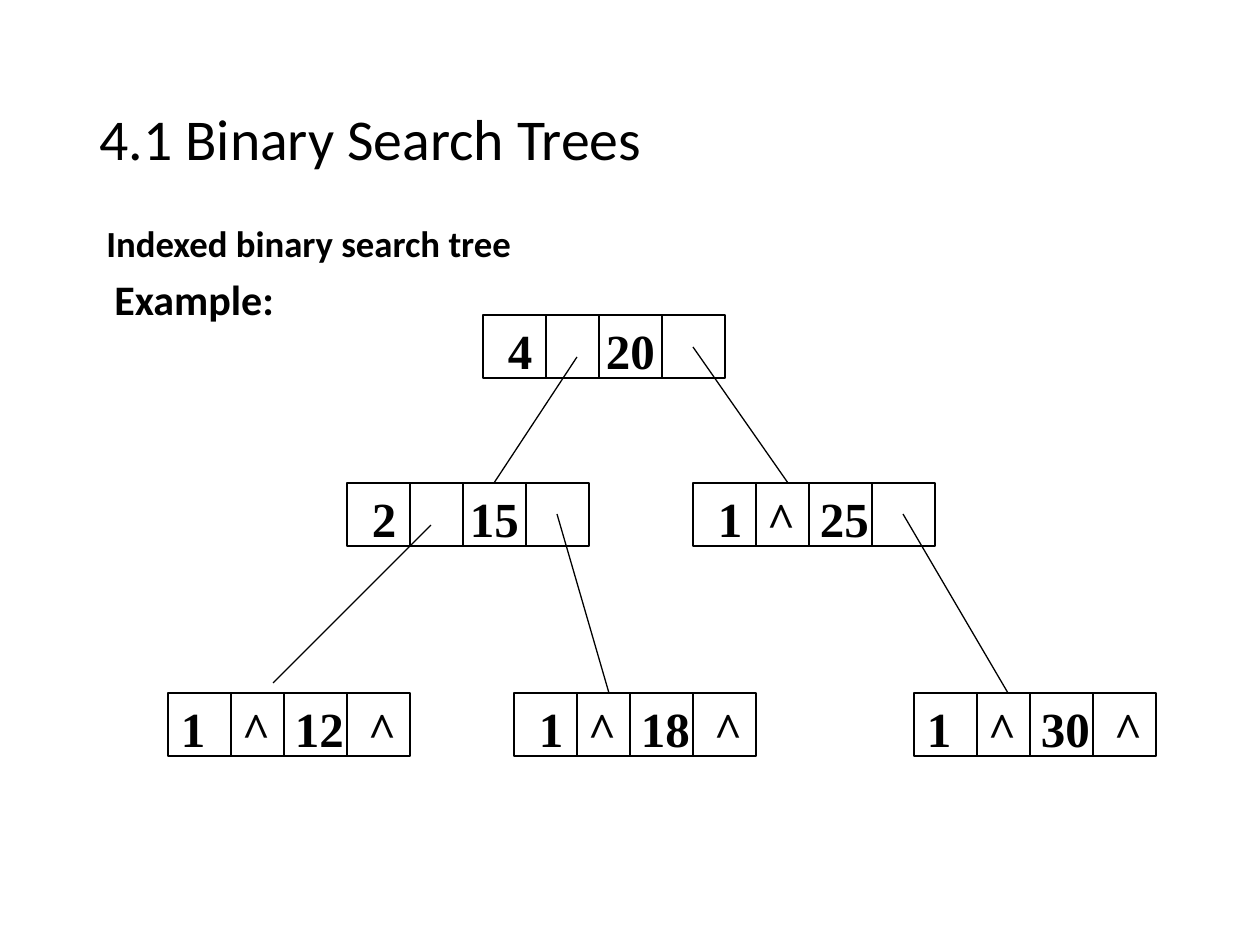
from lxml.etree import SubElement
from pptx import Presentation
from pptx.dml.color import RGBColor
from pptx.enum.shapes import MSO_CONNECTOR, MSO_SHAPE
from pptx.enum.text import MSO_ANCHOR, PP_ALIGN
from pptx.oxml.ns import qn
from pptx.util import Pt

BLACK = RGBColor(0, 0, 0)
PX_PER_INCH = 126

TITLE = "4.1 Binary Search Trees"
# text, size in points, indent in px, space before in points
BODY = [
    ("Indexed binary search tree", 21, 0, 0),
    ("Example:", 24, 8, 7.5),
]

# left, top, text offset in px, then the values: index, left, key, right
NODES = [
    (483, 315, 25, ("4", "", "20", "")),
    (347, 483, 25, ("2", "", "15", "")),
    (693, 483, 25, ("1", "^", "25", "")),
    (514, 693, 25, ("1", "^", "18", "^")),
    (168, 693, 13, ("1", "^", "12", "^")),
    (914, 693, 13, ("1", "^", "30", "^")),
]
NODE_WIDTH, NODE_HEIGHT = 242, 63
SEPARATORS = (63, 116, 179)
LEFT_STOP, KEY_STOP, RIGHT_STOP = 74, 127, 200
KEY_STOP_WITH_LEFT_CHILD = 123

BRANCHES = [
    ((577, 357), (494, 483)),
    ((693, 347), (788, 483)),
    ((431, 525), (273, 683)),
    ((557, 514), (609, 693)),
    ((903, 514), (1008, 693)),
]


def px(length):
    return round(length * 914400 / PX_PER_INCH)


def set_font(paragraph, **values):
    for name, value in values.items():
        setattr(paragraph.font, name, value)
    paragraph.font.color.rgb = BLACK


def add_text_box(shapes, left, top, width, height, anchor):
    shape = shapes.add_textbox(px(left), px(top), px(width), px(height))
    frame = shape.text_frame
    frame.word_wrap = True
    frame.vertical_anchor = anchor
    return frame


def add_line(shapes, start, end):
    connector = shapes.add_connector(
        MSO_CONNECTOR.STRAIGHT, *(px(length) for length in start + end))
    connector.line.color.rgb = BLACK
    connector.line.width = Pt(0.75)
    SubElement(connector._element.spPr, qn("a:effectLst"))


def add_tab_stops(paragraph, stops):
    tab_list = SubElement(paragraph._p.get_or_add_pPr(), qn("a:tabLst"))
    for stop in stops:
        SubElement(tab_list, qn("a:tab"), pos=str(px(stop)), algn="l")


def add_node(shapes, left, top, offset, values):
    """Draw one four-field record, its values aligned on tab stops."""
    group = shapes.add_group_shape()
    shape = group.shapes.add_shape(
        MSO_SHAPE.RECTANGLE, px(left), px(top), px(NODE_WIDTH), px(NODE_HEIGHT))
    shape.shadow.inherit = False
    shape.fill.background()
    shape.line.color.rgb = BLACK
    shape.line.width = Pt(0.75)

    frame = shape.text_frame
    frame.word_wrap = True
    frame.vertical_anchor = MSO_ANCHOR.TOP
    frame.margin_left, frame.margin_top = px(offset), px(6)
    frame.margin_right = frame.margin_bottom = 0

    key_stop = KEY_STOP if values[1] else KEY_STOP_WITH_LEFT_CHILD
    columns = zip(values, (offset, LEFT_STOP, key_stop, RIGHT_STOP))
    filled = [(value, stop) for value, stop in columns if value]
    paragraph = frame.paragraphs[0]
    paragraph.alignment = PP_ALIGN.LEFT
    add_tab_stops(paragraph, [stop - offset for _, stop in filled[1:]])
    paragraph.add_run().text = "\t".join(value for value, _ in filled)
    set_font(paragraph, name="Times New Roman", size=Pt(28), bold=True)

    for separator in SEPARATORS:
        x = left + separator
        add_line(group.shapes, (x, top), (x, top + NODE_HEIGHT))


def main():
    presentation = Presentation()
    presentation.slide_width, presentation.slide_height = px(1260), px(945)
    slide = presentation.slides.add_slide(presentation.slide_layouts[6])
    shapes = slide.shapes

    title = add_text_box(shapes, 87, 50, 1087, 183, MSO_ANCHOR.MIDDLE).paragraphs[0]
    title.text = TITLE
    title.line_spacing = 0.9
    set_font(title, name="Calibri", size=Pt(33))

    body = add_text_box(shapes, 94, 220, 1071, 620, MSO_ANCHOR.TOP)
    for index, (text, size, indent, space_before) in enumerate(BODY):
        paragraph = body.add_paragraph() if index else body.paragraphs[0]
        paragraph.text = text
        paragraph.line_spacing = 0.9
        paragraph.space_before = Pt(space_before)
        paragraph._p.get_or_add_pPr().set("marL", str(px(indent)))
        set_font(paragraph, name="Calibri", size=Pt(size), bold=True)

    for node in NODES:
        add_node(shapes, *node)
    for start, end in BRANCHES:
        add_line(shapes, start, end)

    presentation.save("out.pptx")


if __name__ == "__main__":
    main()
